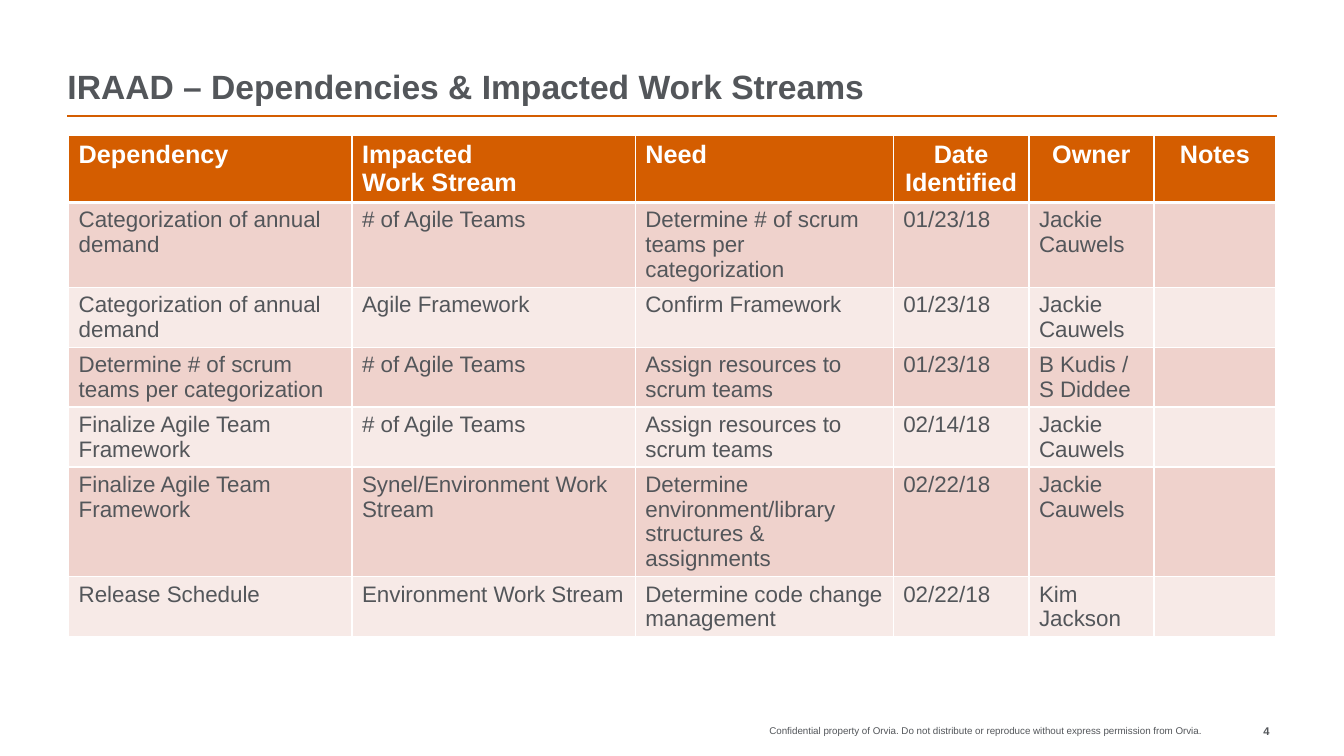
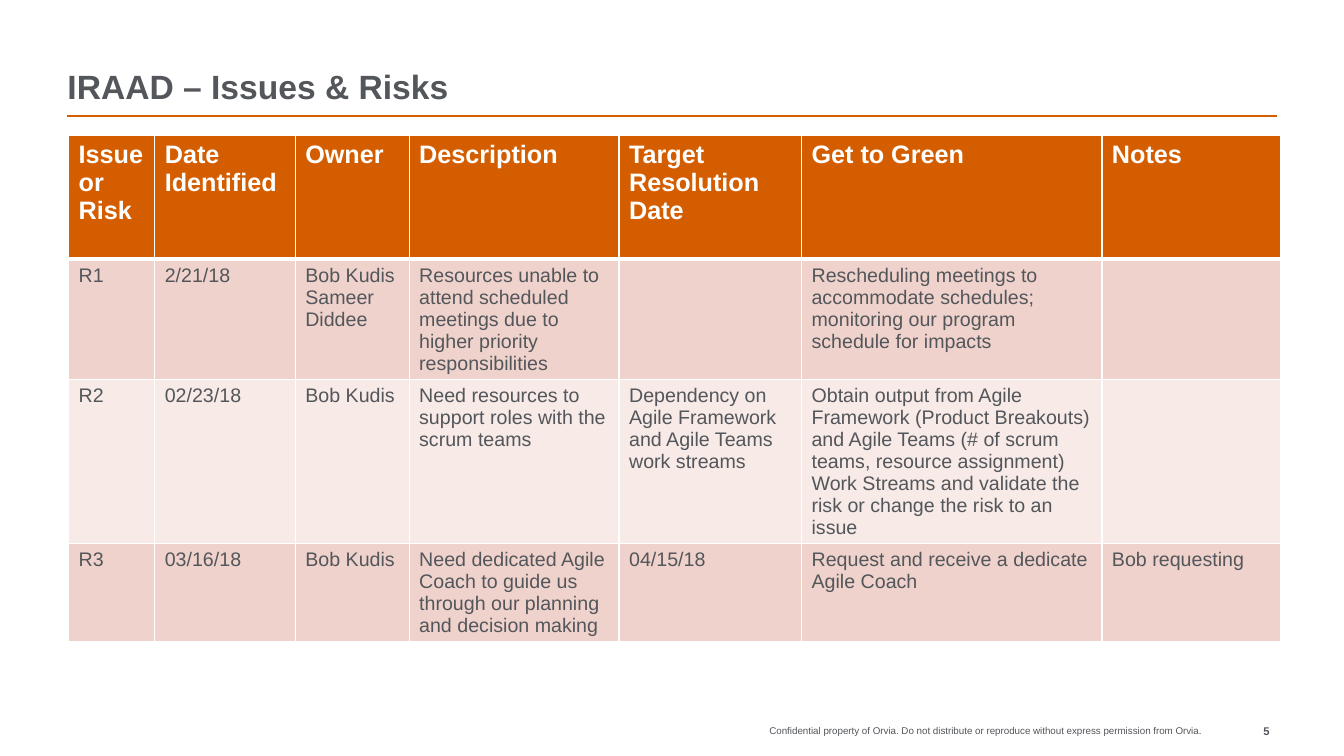
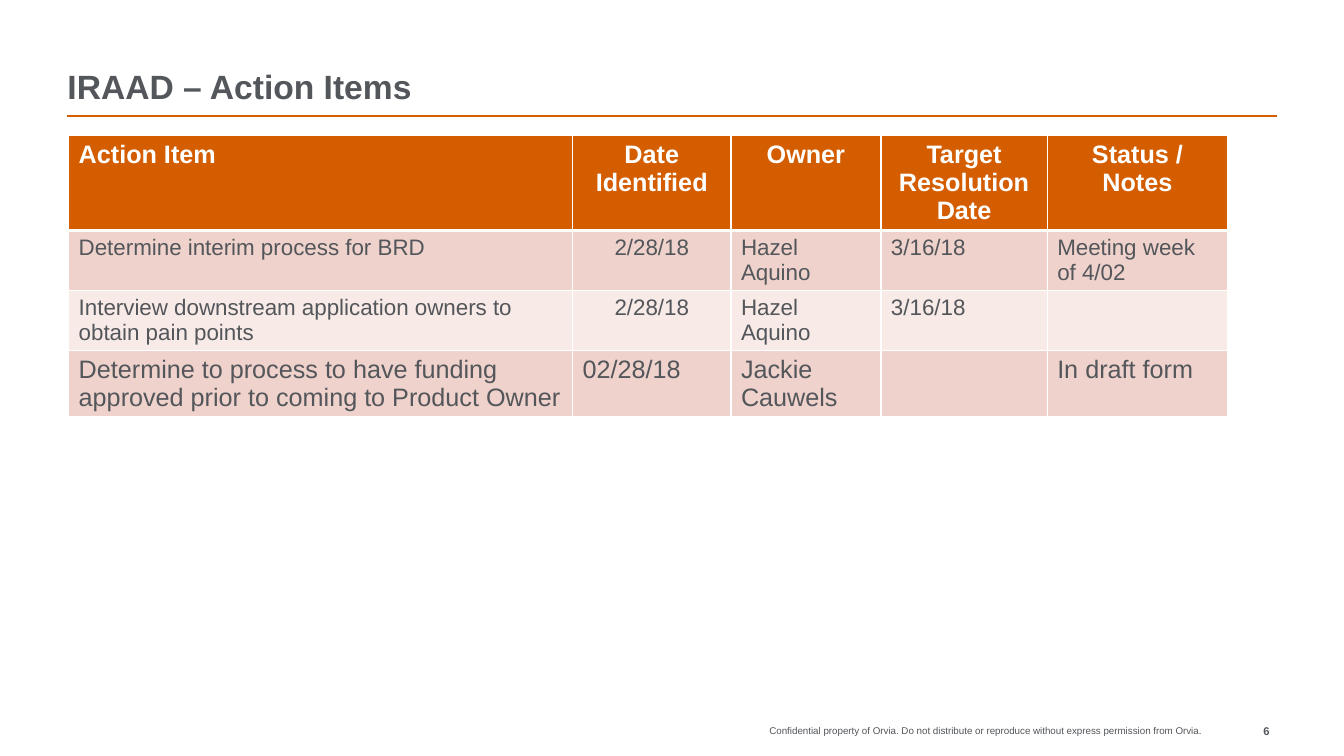
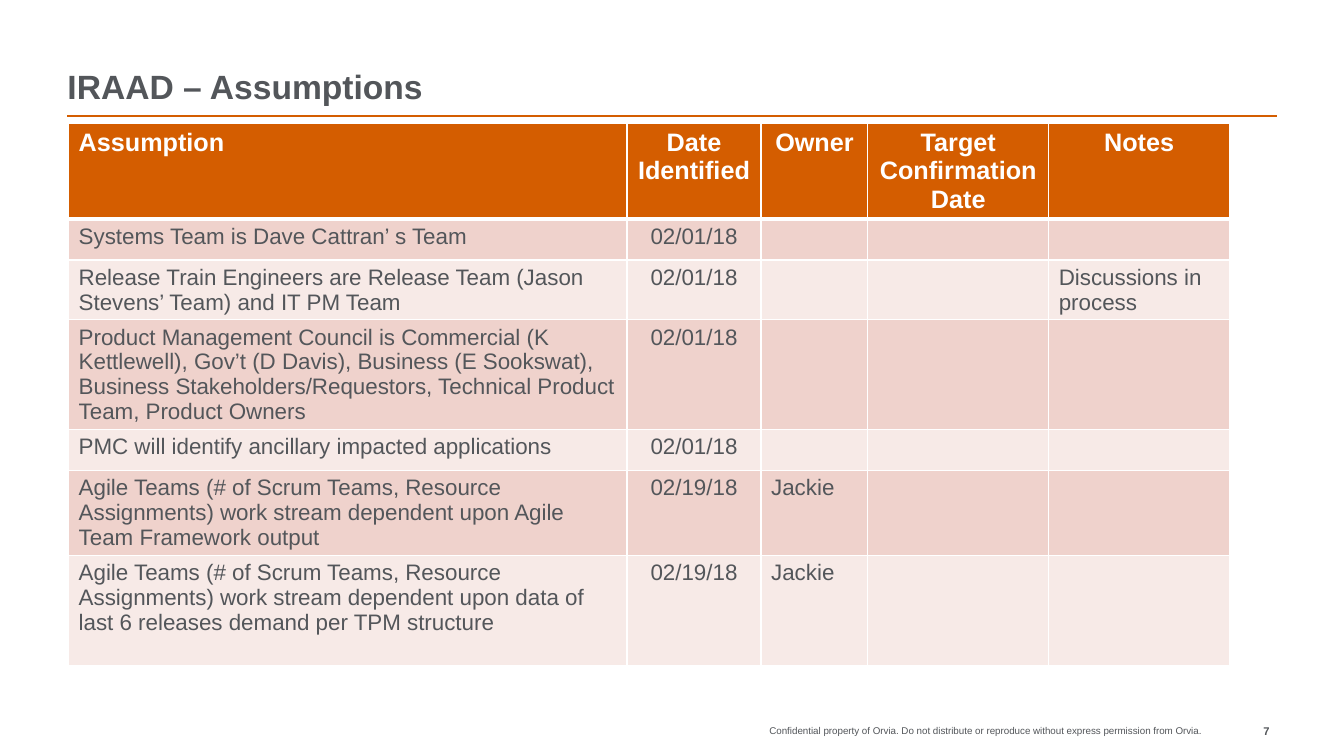
from dataclasses import dataclass
from typing import Any

from lxml import etree
from pptx import Presentation
from pptx.dml.color import RGBColor
from pptx.enum.shapes import MSO_CONNECTOR
from pptx.enum.text import MSO_ANCHOR, MSO_AUTO_SIZE, PP_ALIGN
from pptx.oxml.ns import qn
from pptx.util import Cm, Pt

LEFT, CENTER, RIGHT = PP_ALIGN.LEFT, PP_ALIGN.CENTER, PP_ALIGN.RIGHT
TOP, BOTTOM = MSO_ANCHOR.TOP, MSO_ANCHOR.BOTTOM
NO_AUTOFIT = MSO_AUTO_SIZE.NONE
STRAIGHT = MSO_CONNECTOR.STRAIGHT

COLORS = {
    "accent": "D45D00",
    "text": "53565A",
    "white": "FFFFFF",
    "band_dark": "EFD2CC",
    "band_light": "F7EAE7",
}
FONT = "Arial"
MARGIN = 1.7
CONTENT_WIDTH = 30.48
RULE_Y = 2.92
TABLE_LEFT = 1.73
TITLE_ONLY_LAYOUT = 5
FIRST_PAGE = 4
DATE_COLUMN = 1
CONFIDENTIALITY = (
    "Confidential property of Orvia. Do not distribute or reproduce "
    "without express permission from Orvia."
)


@dataclass(frozen=True)
class Box:
    left: float
    top: float
    width: float
    height: float


@dataclass(frozen=True)
class TextStyle:
    size: float
    bold: bool = False
    color: str = "text"
    align: Any = LEFT


@dataclass(frozen=True)
class Entry:
    """One log row; height in centimetres."""
    height: float
    cells: tuple[str, ...]
    size: float = 16
    date_centered: bool = False


@dataclass(frozen=True)
class Log:
    title: str
    widths: tuple[float, ...]
    header_height: float
    header: tuple[str, ...]
    entries: tuple[Entry, ...]
    centered_from: int
    top: float = 3.41


TITLE_BOX = Box(MARGIN, 0.53, CONTENT_WIDTH, 2.15)
FOOTER_BOX = Box(12.27, 18.26, 18.01, 0.58)
PAGE_BOX = Box(30.3, 18.26, 1.7, 0.58)
TITLE_STYLE = TextStyle(24, bold=True)
FOOTER_STYLE = TextStyle(7, align=RIGHT)
PAGE_STYLE = TextStyle(8, bold=True, align=RIGHT)

LOGS = (
    Log(
        "IRAAD – Dependencies & Impacted Work Streams",
        (7.14, 7.14, 6.5, 3.42, 3.15, 3.07),
        1.69,
        ("Dependency", "Impacted \vWork Stream", "Need", "Date Identified", "Owner", "Notes"),
        (
            Entry(2.14, ("Categorization of annual demand", "# of Agile Teams",
                         "Determine # of scrum teams per categorization",
                         "01/23/18", "Jackie Cauwels", "")),
            Entry(1.5, ("Categorization of annual demand", "Agile Framework",
                        "Confirm Framework", "01/23/18", "Jackie Cauwels", "")),
            Entry(1.5, ("Determine # of scrum teams per categorization", "# of Agile Teams",
                        "Assign resources to scrum teams",
                        "01/23/18", "B Kudis / S Diddee", "")),
            Entry(1.5, ("Finalize Agile Team Framework", "# of Agile Teams",
                        "Assign resources to scrum teams",
                        "02/14/18", "Jackie Cauwels", "")),
            Entry(2.77, ("Finalize Agile Team Framework", "Synel/Environment Work Stream",
                         "Determine environment/library structures & assignments",
                         "02/22/18", "Jackie Cauwels", "")),
            Entry(1.5, ("Release Schedule", "Environment Work Stream",
                        "Determine code change management",
                        "02/22/18", "Kim Jackson", "")),
        ),
        centered_from=3,
    ),
    Log(
        "IRAAD – Issues & Risks",
        (2.17, 3.54, 2.87, 5.29, 4.6, 7.57, 4.5),
        3.12,
        ("Issue or Risk", "Date Identified", "Owner", "Description",
         "Target Resolution Date", "Get to Green", "Notes"),
        (
            Entry(3.02, ("R1", "2/21/18", "Bob Kudis\nSameer Diddee",
                         "Resources unable to attend scheduled meetings due to "
                         "higher priority responsibilities", "",
                         "Rescheduling meetings to accommodate schedules; "
                         "monitoring our program schedule for impacts", ""), 14),
            Entry(4.14, ("R2", "02/23/18", "Bob Kudis",
                         "Need resources to support roles with the scrum teams",
                         "Dependency on Agile Framework and Agile Teams work streams",
                         "Obtain output from Agile Framework (Product Breakouts) and "
                         "Agile Teams (# of scrum teams, resource assignment) Work "
                         "Streams and validate the risk or change the risk to an issue",
                         ""), 14),
            Entry(2.47, ("R3", "03/16/18", "Bob Kudis",
                         "Need dedicated Agile Coach to guide us through our "
                         "planning and decision making", "04/15/18",
                         "Request and receive a dedicate Agile Coach",
                         "Bob requesting"), 14),
        ),
        centered_from=7,
    ),
    Log(
        "IRAAD – Action Items",
        (12.7, 3.99, 3.78, 4.19, 4.55),
        2.4,
        ("Action Item", "Date Identified", "Owner", "Target Resolution Date", "Status / Notes"),
        (
            Entry(1.5, ("Determine interim process for BRD", "2/28/18", "Hazel Aquino",
                        "3/16/18", "Meeting week of 4/02"), date_centered=True),
            Entry(1.5, ("Interview downstream application owners to obtain pain points",
                        "2/28/18", "Hazel Aquino", "3/16/18", ""), date_centered=True),
            Entry(1.68, ("Determine to process to have funding approved prior to "
                         "coming to Product Owner", "02/28/18", "Jackie Cauwels",
                         "", "In draft form"), 18),
        ),
        centered_from=1,
    ),
    Log(
        "IRAAD – Assumptions",
        (14.07, 3.38, 2.69, 4.56, 4.56),
        2.4,
        ("Assumption", "Date Identified", "Owner", "Target Confirmation Date", "Notes"),
        (
            Entry(1.02, ("Systems Team is Dave Cattran’ s Team", "02/01/18", "", "", ""),
                  date_centered=True),
            Entry(1.5, ("Release Train Engineers are Release Team (Jason Stevens’ Team) "
                        "and IT PM Team", "02/01/18", "", "", "Discussions in process"),
                  date_centered=True),
            Entry(2.77, ("Product Management Council is Commercial (K Kettlewell), "
                         "Gov’t (D Davis), Business (E Sookswat), Business "
                         "Stakeholders/Requestors, Technical Product Team, Product Owners",
                         "02/01/18", "", "", ""), date_centered=True),
            Entry(1.02, ("PMC will identify ancillary impacted applications",
                         "02/01/18", "", "", ""), date_centered=True),
            Entry(2.14, ("Agile Teams (# of Scrum Teams, Resource Assignments) work stream "
                         "dependent upon Agile Team Framework output",
                         "02/19/18", "Jackie", "", ""), date_centered=True),
            Entry(2.77, ("Agile Teams (# of Scrum Teams, Resource Assignments) work stream "
                         "dependent upon data of last 6 releases demand per TPM structure",
                         "02/19/18", "Jackie", "", ""), date_centered=True),
        ),
        centered_from=1,
        top=3.12,
    ),
)


def rgb(name: str) -> RGBColor:
    return RGBColor.from_string(COLORS[name])


def apply_format(target: Any, values: dict[str, Any]) -> None:
    for attribute, value in values.items():
        setattr(target, attribute, value)


def write(frame: Any, text: str, style: TextStyle) -> None:
    frame.text = text
    for paragraph in frame.paragraphs:
        paragraph.alignment = style.align
        for run in paragraph.runs:
            apply_format(run.font, {"name": FONT, "size": Pt(style.size), "bold": style.bold})
            run.font.color.rgb = rgb(style.color)


def fill_text_shape(shape: Any, box: Box, text: str, style: TextStyle, anchor: Any) -> None:
    """Place a text shape without insets and write its text."""
    apply_format(shape, {"left": Cm(box.left), "top": Cm(box.top),
                         "width": Cm(box.width), "height": Cm(box.height)})
    apply_format(shape.text_frame, {
        "margin_left": 0, "margin_right": 0, "margin_top": 0, "margin_bottom": 0,
        "word_wrap": True, "auto_size": NO_AUTOFIT, "vertical_anchor": anchor,
    })
    write(shape.text_frame, text, style)


def add_text(slide: Any, box: Box, text: str, style: TextStyle) -> None:
    label = slide.shapes.add_textbox(0, 0, Cm(box.width), Cm(box.height))
    fill_text_shape(label, box, text, style, TOP)


def add_title_rule(slide: Any) -> None:
    rule = slide.shapes.add_connector(
        STRAIGHT, Cm(MARGIN), Cm(RULE_Y), Cm(MARGIN + CONTENT_WIDTH), Cm(RULE_Y))
    rule.line.color.rgb = rgb("accent")
    rule.line.width = Pt(1)
    etree.SubElement(rule._element.spPr, qn("a:effectLst"))


def set_borders(cell: Any, row: int) -> None:
    """White grid lines, with a heavier one between header and body."""
    weights = {"lnL": 1, "lnR": 1, "lnT": 3 if row == 1 else 1, "lnB": 3 if row == 0 else 1}
    properties = cell._tc.get_or_add_tcPr()
    for side, weight in weights.items():
        border = etree.SubElement(properties, qn(f"a:{side}"), w=str(Pt(weight)))
        fill = etree.SubElement(border, qn("a:solidFill"))
        etree.SubElement(fill, qn("a:srgbClr"), val=COLORS["white"])


def draw_cell(cell: Any, row: int, text: str, fill: str, style: TextStyle) -> None:
    set_borders(cell, row)
    cell.fill.solid()
    cell.fill.fore_color.rgb = rgb(fill)
    write(cell.text_frame, text, style)


def add_log_table(slide: Any, log: Log) -> None:
    heights = (log.header_height, *(entry.height for entry in log.entries))
    table = slide.shapes.add_table(
        len(heights), len(log.widths), Cm(TABLE_LEFT), Cm(log.top),
        Cm(sum(log.widths)), Cm(sum(heights))).table
    for column, width in zip(table.columns, log.widths):
        column.width = Cm(width)
    for row, height in zip(table.rows, heights):
        row.height = Cm(height)

    for column, heading in enumerate(log.header):
        align = CENTER if column >= log.centered_from else LEFT
        draw_cell(table.cell(0, column), 0, heading, "accent",
                  TextStyle(18, True, "white", align))
    for row, entry in enumerate(log.entries, start=1):
        band = "band_dark" if row % 2 else "band_light"
        for column, text in enumerate(entry.cells):
            align = CENTER if entry.date_centered and column == DATE_COLUMN else LEFT
            draw_cell(table.cell(row, column), row, text, band,
                      TextStyle(entry.size, align=align))


def add_log_slide(presentation: Any, log: Log, page: int) -> None:
    slide = presentation.slides.add_slide(presentation.slide_layouts[TITLE_ONLY_LAYOUT])
    add_title_rule(slide)
    add_text(slide, FOOTER_BOX, CONFIDENTIALITY, FOOTER_STYLE)
    add_text(slide, PAGE_BOX, str(page), PAGE_STYLE)
    fill_text_shape(slide.shapes.title, TITLE_BOX, log.title, TITLE_STYLE, BOTTOM)
    add_log_table(slide, log)


def main() -> None:
    presentation = Presentation()
    apply_format(presentation, {"slide_width": Cm(33.87), "slide_height": Cm(19.05)})
    for page, log in enumerate(LOGS, start=FIRST_PAGE):
        add_log_slide(presentation, log, page)
    presentation.save("out.pptx")


if __name__ == "__main__":
    main()
